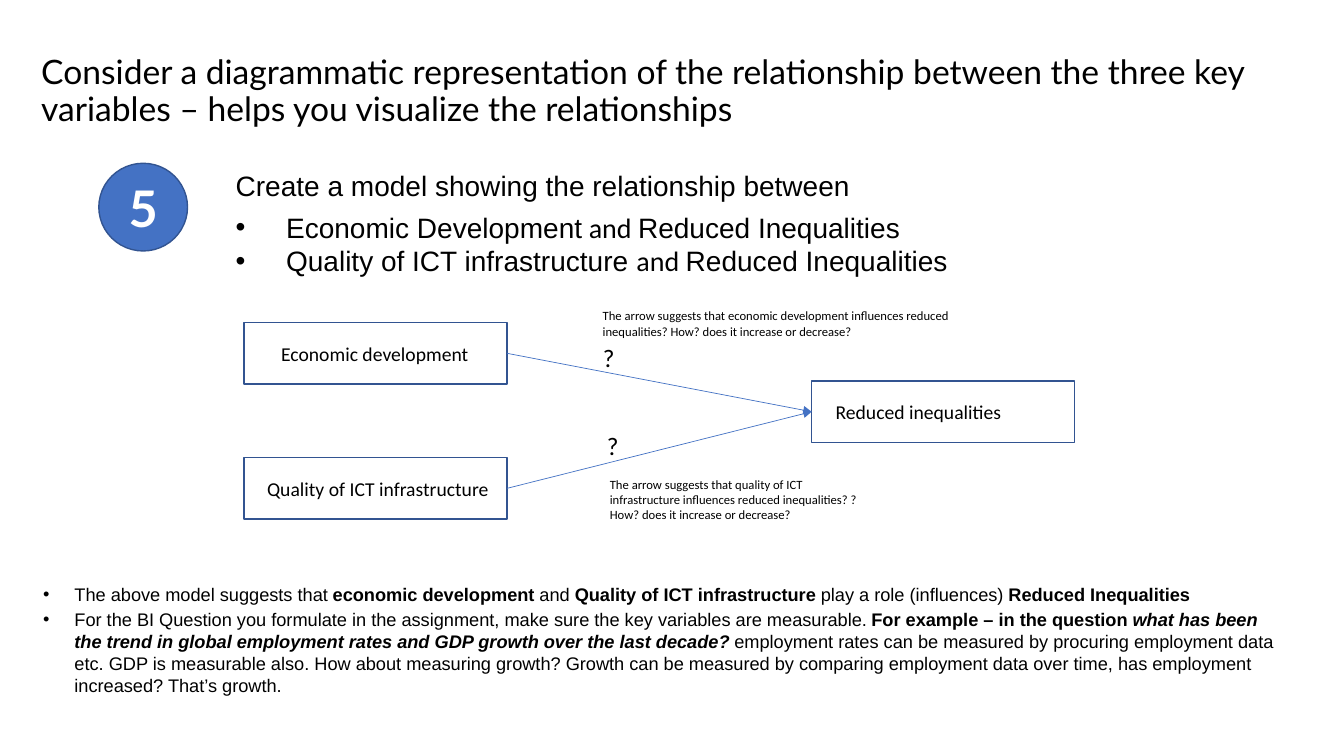
from dataclasses import dataclass, field

from lxml import etree
from pptx import Presentation
from pptx.dml.color import RGBColor
from pptx.enum.shapes import MSO_CONNECTOR, MSO_SHAPE
from pptx.enum.text import MSO_ANCHOR, MSO_AUTO_SIZE, PP_ALIGN
from pptx.oxml import parse_xml
from pptx.oxml.ns import nsdecls, qn
from pptx.util import Inches, Pt

W, H = Inches(13.33), Inches(7.5)
BLACK, WHITE, BLUE, NAVY = "000000", "FFFFFF", "4472C4", "325491"
BOX_W, BOX_H = 19.58, 8.13
LABEL_DY, LABEL_H = 1.87, 4.53


@dataclass
class Run:
    text: str
    fmt: dict = field(default_factory=dict)


@dataclass
class Para:
    runs: list[Run]
    fmt: dict = field(default_factory=dict)
    indent: float = 0


@dataclass
class Text:
    at: tuple[float, float, float, float]
    paras: list[Para]
    font: dict
    frame: dict = field(default_factory=dict)


@dataclass
class Variable:
    name: str
    left: float
    top: float
    label_left: float
    label_width: float


def color(value: str) -> RGBColor:
    return RGBColor.from_string(value)


def place(left: float, top: float, width: float, height: float) -> list[int]:
    return [round(share * side / 100) for share, side in
            zip((left, top, width, height), (W, H, W, H))]


def apply(target, values: dict) -> None:
    for name, value in values.items():
        setattr(target, name, value)


def font(name: str, size: float, **extra) -> dict:
    return {"name": name, "size": Pt(size), **extra}


def plain(text: str, **fmt) -> list[Para]:
    return [Para([Run(text)], fmt)]


def write(tf, paras: list[Para], base: dict, hue: str = BLACK) -> None:
    for i, para in enumerate(paras):
        p = tf.paragraphs[0] if i == 0 else tf.add_paragraph()
        apply(p, para.fmt)
        if para.indent:
            pPr = p._p.get_or_add_pPr()
            pPr.set("marL", str(Inches(para.indent)))
            pPr.set("indent", str(-Inches(para.indent)))
            etree.SubElement(pPr, qn("a:buFont")).set("typeface", "Arial")
            etree.SubElement(pPr, qn("a:buChar")).set("char", "•")
        for run in para.runs:
            r = p.add_run()
            r.text = run.text
            apply(r.font, base | run.fmt)
            r.font.color.rgb = color(hue)


def add_text(s, text: Text) -> None:
    tf = s.shapes.add_textbox(*place(*text.at)).text_frame
    apply(tf, {"word_wrap": True, "auto_size": MSO_AUTO_SIZE.SHAPE_TO_FIT_TEXT} | text.frame)
    write(tf, text.paras, text.font)


def add_outlined(s, kind, at: tuple, fill: str | None = None):
    sp = s.shapes.add_shape(kind, *place(*at))
    sp.shadow.inherit = False
    if fill:
        sp.fill.solid()
        sp.fill.fore_color.rgb = color(fill)
    else:
        sp.fill.background()
    sp.line.color.rgb = color(NAVY)
    sp.line.width = Pt(1)
    return sp


def add_variable(s, var: Variable):
    box = add_outlined(s, MSO_SHAPE.RECTANGLE, (var.left, var.top, BOX_W, BOX_H))
    at = (var.label_left, var.top + LABEL_DY, var.label_width, LABEL_H)
    add_text(s, Text(at, plain(var.name), font("Calibri", 14), NO_WRAP))
    return box


def add_arrow(s, cause, effect) -> None:
    arrow = s.shapes.add_connector(MSO_CONNECTOR.STRAIGHT, 0, 0, 0, 0)
    arrow.begin_connect(cause, 3)
    arrow.end_connect(effect, 1)
    arrow.line.color.rgb = color(BLUE)
    arrow.line.width = Pt(0.5)
    etree.SubElement(arrow.line._get_or_add_ln(), qn("a:tailEnd")).set("type", "triangle")
    arrow._element.spPr.append(parse_xml(f"<a:effectLst {nsdecls('a')}/>"))


NO_WRAP = {"word_wrap": False}
BOLD = {"bold": True}
CALIBRI = {"name": "Calibri"}
NOTE_GAP = {"space_after": Pt(2)}

CAUSES = [
    Variable("Quality of ICT infrastructure", 18.15, 60.53, 19.13, 18.15),
    Variable("Economic development", 18.15, 42.67, 20.18, 15.6),
]
EFFECT = Variable("Reduced inequalities", 60.39, 50.4, 61.44, 14.03)

TEXTS = [
    Text((2.33, 2.53, 92.2, 19.33),
         plain("Consider a diagrammatic representation of the relationship between the three key "
               "variables – helps you visualize the relationships", line_spacing=0.9),
         font("Lato", 24),
         {"vertical_anchor": MSO_ANCHOR.MIDDLE, "auto_size": MSO_AUTO_SIZE.NONE}),
    Text((2.48, 76.53, 93.17, 16.27), [
        Para([Run("The above model suggests that "),
              Run("economic development ", BOLD),
              Run("and "),
              Run("Quality of ICT infrastructure ", BOLD),
              Run("play a role (influences) "),
              Run("Reduced Inequalities", BOLD)], NOTE_GAP, 0.31),
        Para([Run("For the BI Question you formulate in the assignment, make sure the key "
                  "variables are measurable. "),
              Run("For example – in the question ", BOLD),
              Run("what has been the trend in global employment rates and GDP growth over "
                  "the last decade? ", BOLD | {"italic": True}),
              Run("employment rates can be measured by procuring employment data etc. GDP is "
                  "measurable also. How about measuring growth? Growth can be measured by "
                  "comparing employment data over time, has employment increased? "
                  "That’s growth.")], NOTE_GAP, 0.31),
    ], font("Arial", 13)),
    Text((16.8, 21.6, 74.57, 15.87), [
        *plain("Create a model showing the relationship between", space_after=Pt(6)),
        Para([Run("Economic Development"), Run(" and ", CALIBRI),
              Run("Reduced Inequalities")], indent=0.5),
        Para([Run("Quality of ICT infrastructure "), Run("and ", CALIBRI),
              Run("Reduced Inequalities")], indent=0.5),
    ], font("Arial", 20)),
    Text((44.11, 40.13, 29.86, 5.33),
         plain("The arrow suggests that economic development influences reduced inequalities? "
               "How? does it increase or decrease?"), font("Calibri", 9)),
    Text((44.64, 62.4, 20.93, 7.47),
         plain("The arrow suggests that quality of ICT infrastructure influences reduced "
               "inequalities? ? How? does it increase or decrease?"), font("Calibri", 9)),
    *[Text((left, top, 2.4, 5.33), plain("?"), font("Calibri", 18), NO_WRAP)
      for left, top in ((44.41, 56.27), (44.11, 44.67))],
]


def main() -> None:
    prs = Presentation()
    apply(prs, {"slide_width": W, "slide_height": H})
    s = prs.slides.add_slide(prs.slide_layouts[6])

    step = add_outlined(s, MSO_SHAPE.OVAL, (7.35, 21.6, 6.6, 11.6), BLUE)
    step.text_frame.vertical_anchor = MSO_ANCHOR.MIDDLE
    write(step.text_frame, plain("5", alignment=PP_ALIGN.CENTER),
          font("Lato", 36, bold=True), WHITE)

    effect = add_variable(s, EFFECT)
    for cause in CAUSES:
        add_arrow(s, add_variable(s, cause), effect)
    for text in TEXTS:
        add_text(s, text)

    prs.save("out.pptx")


if __name__ == "__main__":
    main()
